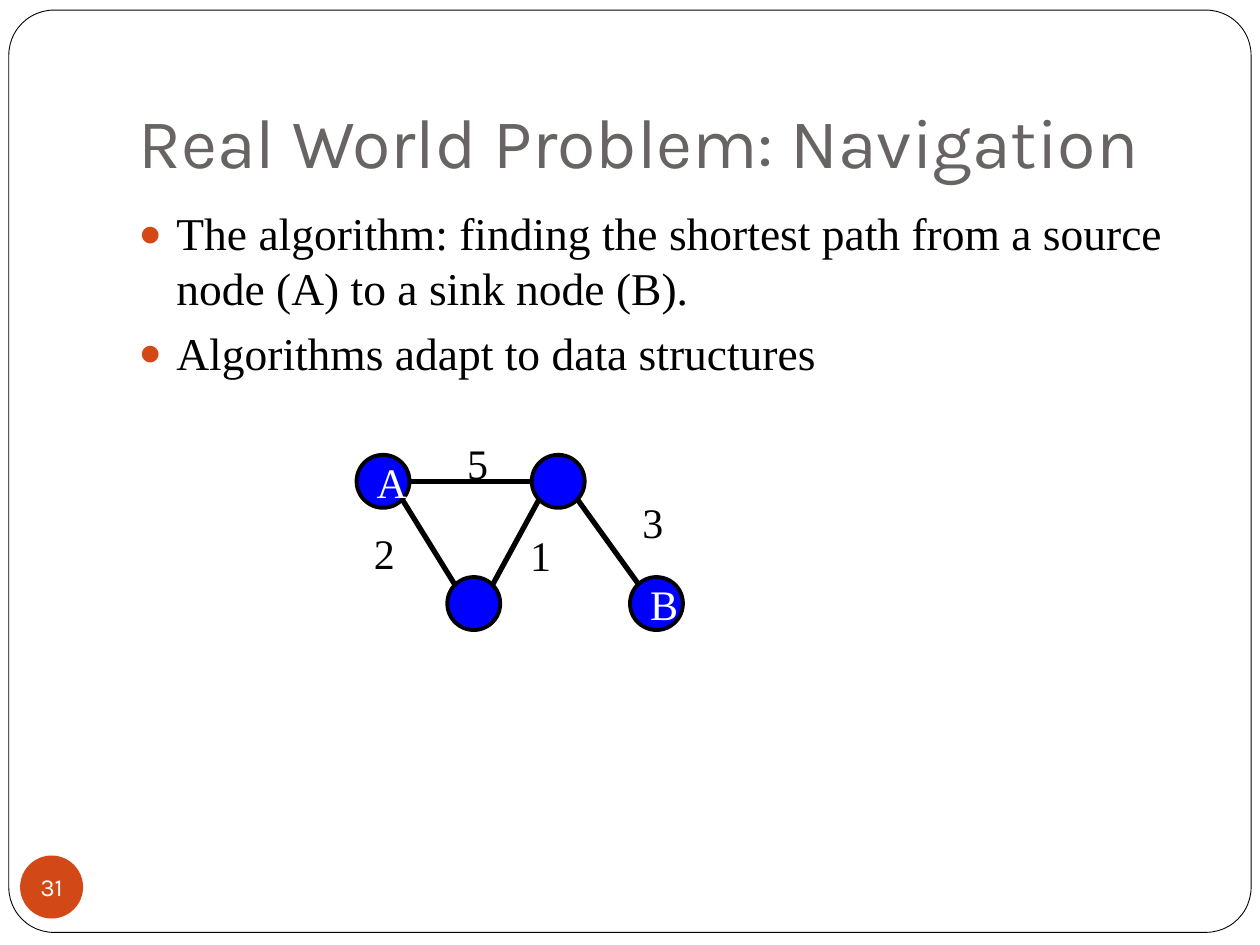
from dataclasses import dataclass

from lxml import etree
from pptx import Presentation
from pptx.dml.color import RGBColor
from pptx.enum import shapes, text
from pptx.oxml import ns
from pptx.util import Inches, Pt


@dataclass(frozen=True)
class Theme:
    """Colours, fonts and type sizes of the slide."""
    black: RGBColor = RGBColor(0, 0, 0)
    white: RGBColor = RGBColor(255, 255, 255)
    grey: RGBColor = RGBColor.from_string("696464")
    accent: RGBColor = RGBColor.from_string("D34817")
    node: RGBColor = RGBColor.from_string("0000FF")
    heading_font: str = "Karla"
    body_font: str = "Times New Roman"
    title_size: int = 40
    body_size: int = 26
    graph_size: int = 24
    number_size: int = 14


theme = Theme()


def set_font(paragraph, name, size, color):
    """Give a whole paragraph one typeface, size and colour."""
    paragraph.font.name = name
    paragraph.font.size = Pt(size)
    paragraph.font.color.rgb = color


def add_filled(kind, box, fill, line_width=0):
    """Add a flat preset shape, outlined in black if a width is given."""
    shape = slide.shapes.add_shape(kind, *map(Inches, box))
    shape.shadow.inherit = False
    shape.fill.solid()
    shape.fill.fore_color.rgb = fill
    if line_width:
        shape.line.color.rgb = theme.black
        shape.line.width = Pt(line_width)
    else:
        shape.line.fill.background()
    return shape


presentation = Presentation()
presentation.slide_width, presentation.slide_height = Inches(10), Inches(7.5)
slide = presentation.slides.add_slide(presentation.slide_layouts[1])
title, body = slide.placeholders

# Frame and slide number
frame = add_filled(shapes.MSO_SHAPE.ROUNDED_RECTANGLE, (0.07, 0.08, 9.86, 7.32), theme.white, 0.5)
frame.adjustments[0] = 0.049
title._element.addprevious(frame._element)

badge = add_filled(shapes.MSO_SHAPE.OVAL, (0.16, 6.79, 0.5, 0.5), theme.accent)
badge_text = badge.text_frame
badge_text.margin_left = badge_text.margin_right = 0
badge_text.margin_top = badge_text.margin_bottom = 0
badge_text.word_wrap = False
badge_text.text = "31"
badge_text.paragraphs[0].alignment = text.PP_ALIGN.CENTER
set_font(badge_text.paragraphs[0], theme.heading_font, theme.number_size, theme.white)

# Title
title.left, title.top, title.width, title.height = map(Inches, (1, 0.3, 8.5, 1.25))
title.text_frame.text = "Real World Problem: Navigation"
title.text_frame.vertical_anchor = text.MSO_ANCHOR.BOTTOM
title.text_frame.margin_bottom = Inches(0.1)
title.text_frame.auto_size = text.MSO_AUTO_SIZE.NONE
title.text_frame.paragraphs[0].alignment = text.PP_ALIGN.LEFT
set_font(title.text_frame.paragraphs[0], theme.heading_font, theme.title_size, theme.grey)

# Bullet list
body.left, body.top, body.width, body.height = map(Inches, (1, 1.58, 8.5, 5))
body.text_frame.text = (
    "The algorithm: finding the shortest path from a source node (A) to a sink node (B).\n"
    "Algorithms adapt to data structures"
)
body.text_frame.auto_size = text.MSO_AUTO_SIZE.NONE
for paragraph in body.text_frame.paragraphs:
    set_font(paragraph, theme.body_font, theme.body_size, theme.black)
    paragraph.space_before = Pt(5.8)
    properties = paragraph._p.get_or_add_pPr()
    properties.set("marL", str(Inches(0.3)))
    properties.set("indent", str(-Inches(0.3)))
    bullet_color = etree.Element(ns.qn("a:buClr"))
    etree.SubElement(bullet_color, ns.qn("a:srgbClr"), val=str(theme.accent))
    bullet_size = etree.Element(ns.qn("a:buSzPct"), val="85000")
    bullet = etree.Element(ns.qn("a:buChar"), char="●")
    default_run = properties.find(ns.qn("a:defRPr"))
    for element in (bullet_color, bullet_size, bullet):
        default_run.addprevious(element)

# Graph edges
edges = [
    (3.25, 3.82, 4.22, 3.82),
    (3.19, 3.96, 3.61, 4.64),
    (4.28, 3.96, 3.91, 4.64),
    (4.58, 3.96, 5.07, 4.64),
]
for ends in edges:
    edge = slide.shapes.add_connector(shapes.MSO_CONNECTOR.STRAIGHT, *map(Inches, ends))
    edge.line.color.rgb = theme.black
    edge.line.width = Pt(3)
    etree.SubElement(edge._element.spPr, ns.qn("a:effectLst"))

# Graph nodes
node_size = 0.42
upper, lower = 3.61, 4.58
for left, top, name in [(2.83, upper, "A"), (4.22, upper, ""), (3.55, lower, ""), (5, lower, "B")]:
    node = add_filled(shapes.MSO_SHAPE.OVAL, (left, top, node_size, node_size), theme.node, 2.25)
    if name:
        node.text_frame.text = name
        node.text_frame.paragraphs[0].alignment = text.PP_ALIGN.CENTER
        set_font(node.text_frame.paragraphs[0], theme.body_font, theme.graph_size, theme.white)

# Edge weights
for left, top, weight in [(3.61, 3.42, "5"), (2.87, 4.14, "2"), (4.11, 4.15, "1"), (5, 3.89, "3")]:
    label = slide.shapes.add_textbox(*map(Inches, (left, top, 0.36, 0.5)))
    label.text_frame.word_wrap = False
    label.text_frame.auto_size = text.MSO_AUTO_SIZE.SHAPE_TO_FIT_TEXT
    label.text_frame.text = weight
    set_font(label.text_frame.paragraphs[0], theme.body_font, theme.graph_size, theme.black)

presentation.save("out.pptx")
